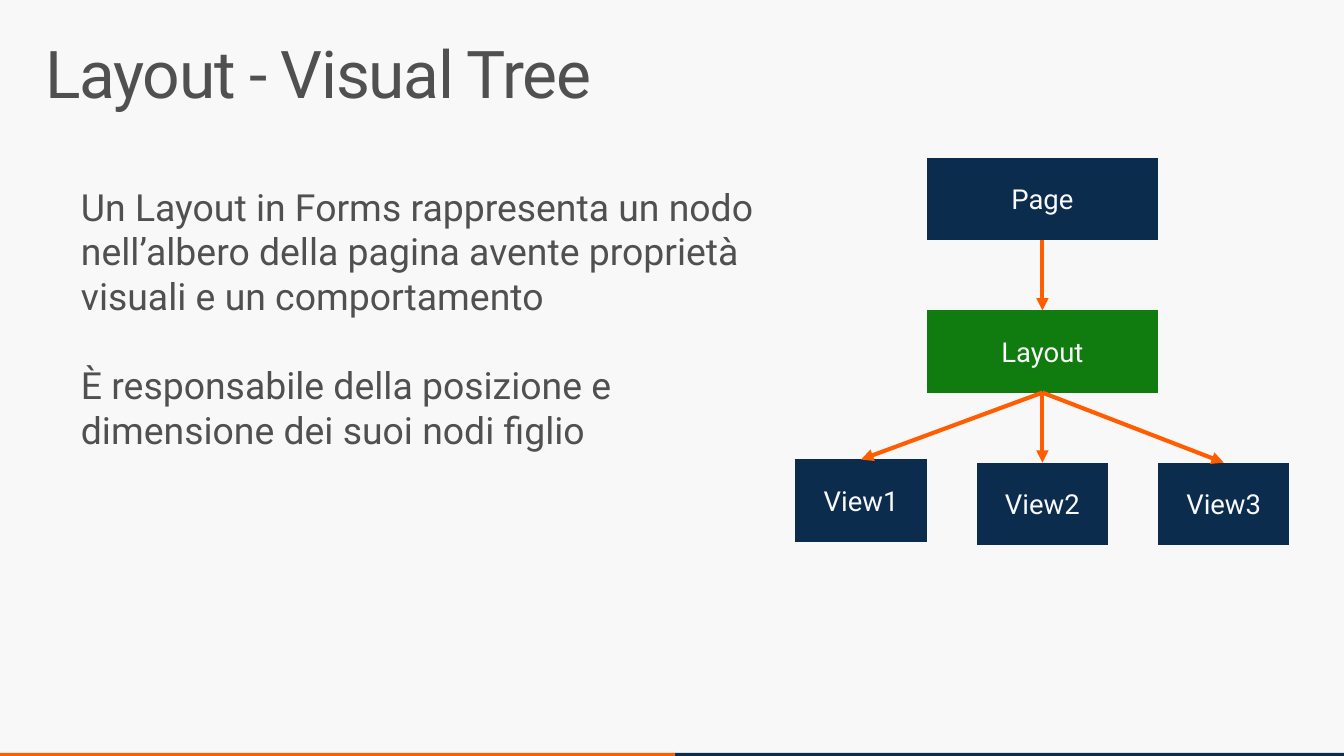
from dataclasses import dataclass

from pptx import Presentation
from pptx.dml.color import RGBColor
from pptx.enum.shapes import MSO_CONNECTOR, MSO_SHAPE
from pptx.enum.text import MSO_ANCHOR, MSO_AUTO_SIZE, PP_ALIGN
from pptx.oxml.ns import qn
from pptx.shapes.autoshape import Shape
from pptx.slide import Slide
from pptx.text.text import TextFrame, _Paragraph, _Run
from pptx.util import Cm, Pt
from lxml.etree import SubElement

FONT = "Roboto"
COLORS = {
    "background": "F8F8F8",
    "text": "505050",
    "navy": "0C2C4D",
    "green": "107C10",
    "orange": "FF5D00",
}
TREE_CENTER = 26.79
NODE_HEIGHT = 2.11
PARENT_WIDTH = 5.92
VIEW_WIDTH = 3.38
VIEW_STEP = 4.66


@dataclass
class Node:
    label: str
    center: float
    top: float
    width: float
    color: str = "navy"
    parent: str = ""


@dataclass
class Bar:
    left: float
    width: float
    color: str


NODES = [
    Node("Page", TREE_CENTER, 4.05, PARENT_WIDTH),
    Node("Layout", TREE_CENTER, 7.98, PARENT_WIDTH, "green", "Page"),
    Node("View1", TREE_CENTER - VIEW_STEP, 11.81, VIEW_WIDTH, parent="Layout"),
    Node("View2", TREE_CENTER, 11.89, VIEW_WIDTH, parent="Layout"),
    Node("View3", TREE_CENTER + VIEW_STEP, 11.89, VIEW_WIDTH, parent="Layout"),
]
BARS = [Bar(17.35, 17.19, "navy"), Bar(0, 17.35, "orange")]
BODY = [
    "Un Layout in Forms rappresenta un nodo nell’albero della pagina "
    "avente proprietà visuali e un comportamento",
    "È responsabile della posizione e dimensione dei suoi nodi figlio",
]


def rgb(name: str) -> RGBColor:
    return RGBColor.from_string(COLORS[name])


def add_run(p: _Paragraph, text: str, size: float, color: str) -> _Run:
    r = p.add_run()
    r.text = text
    r.font.name = FONT
    r.font.size = Pt(size)
    r.font.color.rgb = rgb(color)
    return r


def set_frame(tf: TextFrame, anchor: MSO_ANCHOR, side: float, end: float) -> None:
    tf.word_wrap = True
    tf.auto_size = MSO_AUTO_SIZE.NONE
    tf.vertical_anchor = anchor
    tf.margin_left = tf.margin_right = Cm(side)
    tf.margin_top = tf.margin_bottom = Cm(end)


def place(sp: Shape, left: float, top: float, width: float, height: float) -> None:
    sp.left, sp.top, sp.width, sp.height = Cm(left), Cm(top), Cm(width), Cm(height)


def add_block(s: Slide, kind: MSO_SHAPE, left: float, top: float,
              width: float, height: float, color: str) -> Shape:
    sp = s.shapes.add_shape(kind, Cm(left), Cm(top), Cm(width), Cm(height))
    sp.shadow.inherit = False
    sp.fill.solid()
    sp.fill.fore_color.rgb = rgb(color)
    sp.line.fill.background()
    return sp


def add_node(s: Slide, node: Node) -> Shape:
    sp = add_block(s, MSO_SHAPE.FLOWCHART_PROCESS, node.center - node.width / 2,
                   node.top, node.width, NODE_HEIGHT, node.color)
    set_frame(sp.text_frame, MSO_ANCHOR.MIDDLE, 0, 0.13)
    p = sp.text_frame.paragraphs[0]
    p.alignment = PP_ALIGN.CENTER
    add_run(p, node.label, 20, "background")
    return sp


def add_arrow(s: Slide, parent: Shape, child: Shape) -> None:
    cx = s.shapes.add_connector(MSO_CONNECTOR.STRAIGHT, 0, 0, 0, 0)
    cx.begin_connect(parent, 2)
    cx.end_connect(child, 0)
    cx.line.color.rgb = rgb("orange")
    cx.line.width = Pt(3)
    SubElement(cx.line._get_or_add_ln(), qn("a:tailEnd"), type="triangle")
    SubElement(cx._element.spPr, qn("a:effectLst"))


def fill_title(sp: Shape) -> None:
    place(sp, 0.76, 0.81, 33.02, 2.54)
    set_frame(sp.text_frame, MSO_ANCHOR.TOP, 0.41, 0.25)
    p = sp.text_frame.paragraphs[0]
    p.alignment = PP_ALIGN.LEFT
    p.line_spacing = 0.9
    r = add_run(p, "Layout - Visual Tree", 48, "text")
    r.font._element.set("spc", "-100")


def fill_body(sp: Shape) -> None:
    place(sp, 2.03, 4.72, 18.21, 6.99)
    tf = sp.text_frame
    set_frame(tf, MSO_ANCHOR.TOP, 0, 0)
    for i, text in enumerate(BODY):
        p = tf.add_paragraph() if i else tf.paragraphs[0]
        pPr = p._p.get_or_add_pPr()
        pPr.set("marL", str(Cm(0.05)))
        pPr.set("indent", "0")
        SubElement(pPr, qn("a:buNone"))
        p.space_before = Pt(32 if i else 0)
        add_run(p, text, 27.2, "text")


def main() -> None:
    prs = Presentation()
    prs.slide_width, prs.slide_height = Cm(34.54), Cm(19.43)
    s = prs.slides.add_slide(prs.slide_layouts[1])
    s.background.fill.solid()
    s.background.fill.fore_color.rgb = rgb("background")
    for bar in BARS:
        add_block(s, MSO_SHAPE.RECTANGLE, bar.left, 19.35, bar.width, 0.08, bar.color)
    fill_title(s.shapes.title)
    fill_body(s.placeholders[1])
    shapes = {node.label: add_node(s, node) for node in NODES}
    for node in NODES:
        if node.parent:
            add_arrow(s, shapes[node.parent], shapes[node.label])
    prs.save("out.pptx")


if __name__ == "__main__":
    main()
